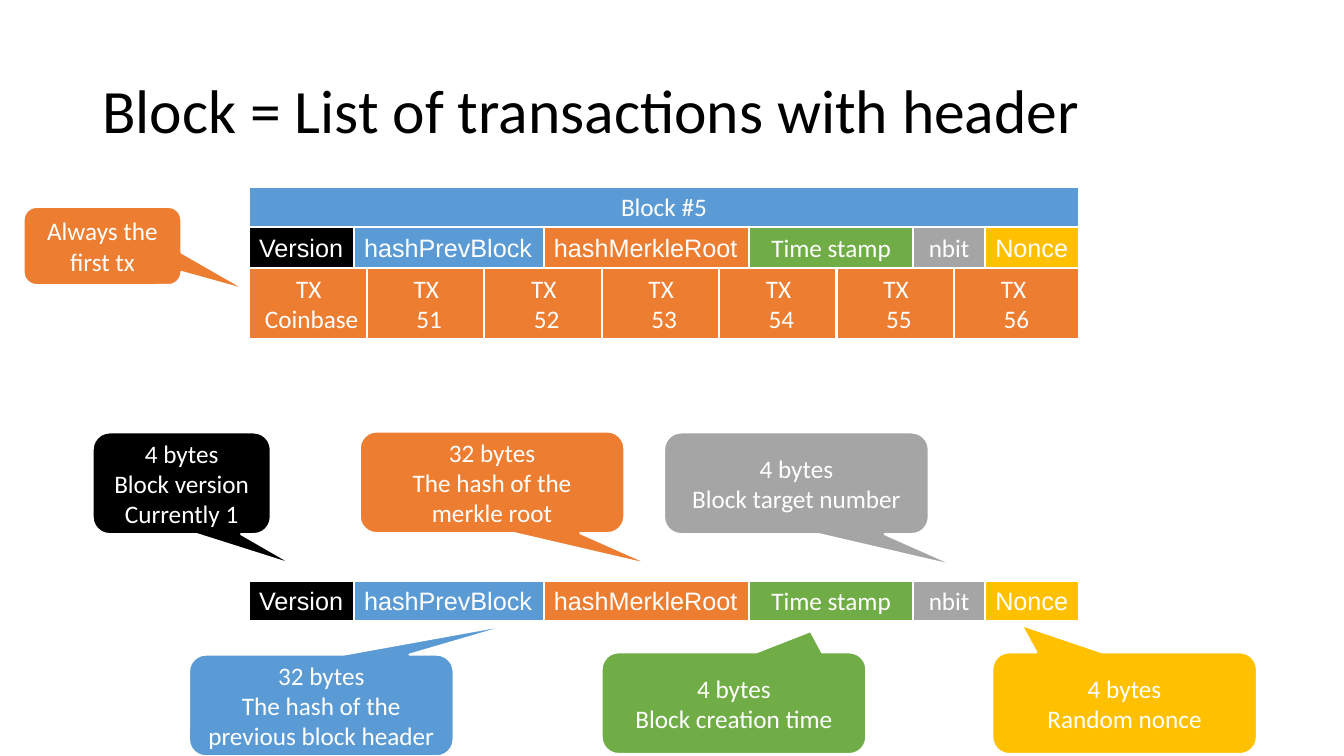
from pptx import Presentation
from pptx.dml.color import RGBColor
from pptx.enum.shapes import MSO_SHAPE
from pptx.enum.text import MSO_ANCHOR, PP_ALIGN
from pptx.util import Pt

BLACK = RGBColor(0x00, 0x00, 0x00)
WHITE = RGBColor(0xFF, 0xFF, 0xFF)
BLUE = RGBColor(0x5B, 0x9B, 0xD5)
ORANGE = RGBColor(0xED, 0x7D, 0x31)
GREEN = RGBColor(0x70, 0xAD, 0x47)
GRAY = RGBColor(0xA5, 0xA5, 0xA5)
GOLD = RGBColor(0xFF, 0xC0, 0x00)

BLOCK_LEFT = 178
BLOCK_TOP = 133.2
ROW_HEIGHT = 29.1


def format_text(text_frame, size, color, font_name, alignment):
    for paragraph in text_frame.paragraphs:
        paragraph.alignment = alignment
        for run in paragraph.runs:
            run.font.size = Pt(size)
            run.font.name = font_name
            run.font.color.rgb = color


def add_box(kind, left, top, width, height, text, color, font_name="Calibri"):
    shape = slide.shapes.add_shape(kind, Pt(left), Pt(top), Pt(width), Pt(height))
    shape.shadow.inherit = False
    shape.fill.solid()
    shape.fill.fore_color.rgb = color
    shape.line.color.rgb = WHITE
    shape.line.width = Pt(1.5)
    text_frame = shape.text_frame
    text_frame.text = text
    text_frame.word_wrap = True
    is_cell = kind == MSO_SHAPE.RECTANGLE
    text_frame.vertical_anchor = MSO_ANCHOR.TOP if is_cell else MSO_ANCHOR.MIDDLE
    alignment = PP_ALIGN.LEFT if font_name == "Arial" else PP_ALIGN.CENTER
    format_text(text_frame, 18, WHITE, font_name, alignment)
    return shape


presentation = Presentation()
presentation.slide_width = Pt(960)
presentation.slide_height = Pt(540)
slide = presentation.slides.add_slide(presentation.slide_layouts[6])

title = slide.shapes.add_textbox(Pt(66), Pt(28.75), Pt(828), Pt(104.4))
title.text_frame.word_wrap = True
title.text_frame.vertical_anchor = MSO_ANCHOR.MIDDLE
title.text_frame.text = "Block = List of transactions with header"
title.text_frame.paragraphs[0].line_spacing = 0.9
format_text(title.text_frame, 44, BLACK, "Calibri", PP_ALIGN.LEFT)

add_box(MSO_SHAPE.RECTANGLE, BLOCK_LEFT, BLOCK_TOP, 592.6, ROW_HEIGHT, "Block #5", BLUE)

transactions = ["Coinbase", "51", "52", "53", "54", "55", "56"]
for index, transaction in enumerate(transactions):
    add_box(MSO_SHAPE.RECTANGLE, BLOCK_LEFT + 83.9 * index, BLOCK_TOP + 2 * ROW_HEIGHT,
            89.2, 51, "TX \n" + transaction, ORANGE)

header_fields = [
    ("Version", 75, BLACK, "Arial"),
    ("hashPrevBlock", 135.6, BLUE, "Arial"),
    ("hashMerkleRoot", 146.4, ORANGE, "Arial"),
    ("Time stamp", 117.2, GREEN, "Calibri"),
    ("nbit", 51.6, GRAY, "Calibri"),
    ("Nonce", 66.8, GOLD, "Arial"),
]
for header_top in (BLOCK_TOP + ROW_HEIGHT, 414.8):
    field_left = BLOCK_LEFT
    for name, width, color, font_name in header_fields:
        field = add_box(MSO_SHAPE.RECTANGLE, field_left, header_top, width, ROW_HEIGHT,
                        name, color, font_name)
        field.text_frame.word_wrap = False
        field_left += width

callouts = [
    (66.2, 308.9, 127.2, 72.6, "4 bytes\nBlock version\nCurrently 1", BLACK, 0.64, 0.81),
    (135, 467.6, 189, 72.6, "32 bytes\nThe hash of the previous block header", BLUE, 0.74, -0.81),
    (257, 308.2, 189, 72.6, "32 bytes\nThe hash of the merkle root", ORANGE, 0.61, 0.82),
    (429.8, 466, 189, 72.6, "4 bytes\nBlock creation time", GREEN, 0.29, -0.71),
    (474.4, 308.9, 189, 72.6, "4 bytes\nBlock target number", GRAY, 0.61, 0.82),
    (708.8, 466, 189, 72.6, "4 bytes\nRandom nonce", GOLD, -0.39, -0.77),
    (16.8, 147.8, 112.8, 55.8, "Always the first tx", ORANGE, 0.92, 0.57),
]
for left, top, width, height, text, color, tip_x, tip_y in callouts:
    callout = add_box(MSO_SHAPE.ROUNDED_RECTANGULAR_CALLOUT, left, top, width, height, text, color)
    callout.adjustments[0] = tip_x
    callout.adjustments[1] = tip_y

presentation.save("out.pptx")
